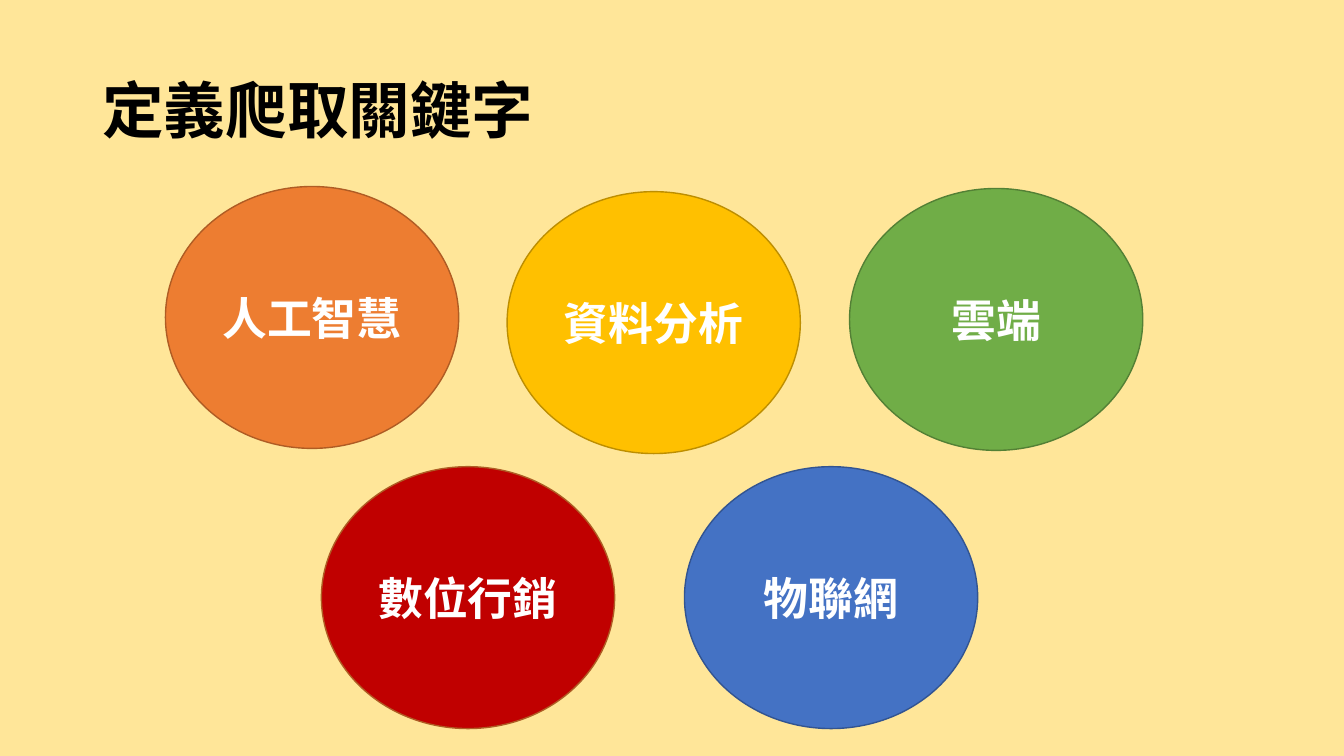
from dataclasses import dataclass

from lxml import etree
from pptx import Presentation
from pptx.dml.color import RGBColor
from pptx.enum.shapes import MSO_SHAPE
from pptx.enum.text import MSO_ANCHOR, PP_ALIGN
from pptx.oxml.ns import qn
from pptx.shapes.autoshape import Shape
from pptx.slide import Slide
from pptx.util import Cm, Pt

OVAL = MSO_SHAPE.OVAL
MIDDLE = MSO_ANCHOR.MIDDLE
LEFT = PP_ALIGN.LEFT
CENTER = PP_ALIGN.CENTER

FONT = "Noto Sans CJK SC"
CREAM = RGBColor(0xFF, 0xE6, 0x99)
BLACK = RGBColor(0x00, 0x00, 0x00)
WHITE = RGBColor(0xFF, 0xFF, 0xFF)
ORANGE = RGBColor(0xED, 0x7D, 0x31)
RUST = RGBColor(0xAF, 0x5C, 0x24)
GOLD = RGBColor(0xFF, 0xC0, 0x00)
OCHRE = RGBColor(0xBD, 0x8E, 0x00)
GREEN = RGBColor(0x70, 0xAD, 0x47)
MOSS = RGBColor(0x53, 0x80, 0x35)
BLUE = RGBColor(0x44, 0x72, 0xC4)
NAVY = RGBColor(0x32, 0x54, 0x91)
RED = RGBColor(0xC0, 0x00, 0x00)

WIDTH, HEIGHT = Cm(7.39), Cm(6.6)


@dataclass(frozen=True)
class Topic:
    text: str
    left: float
    top: float
    fill: RGBColor
    line: RGBColor


TOPICS = [
    Topic("人工智慧", 4.17, 4.7, ORANGE, RUST),
    Topic("資料分析", 12.78, 4.83, GOLD, OCHRE),
    Topic("雲端", 21.41, 4.75, GREEN, MOSS),
    Topic("物聯網", 17.25, 11.76, BLUE, NAVY),
    Topic("數位行銷", 8.1, 11.76, RED, RUST),
]


def write(shape: Shape, text: str, *, size: float, color: RGBColor,
          align: PP_ALIGN = CENTER, space: float = 1.0) -> None:
    frame = shape.text_frame
    frame.word_wrap = True
    frame.vertical_anchor = MIDDLE
    para = frame.paragraphs[0]
    para.alignment = align
    para.line_spacing = space
    run = para.add_run()
    run.text = text
    font = run.font
    font.size = Pt(size)
    font.bold = True
    font.color.rgb = color
    font.name = FONT
    props = run._r.get_or_add_rPr()
    etree.SubElement(props, qn("a:ea")).set("typeface", FONT)


def draw(slide: Slide, topic: Topic) -> None:
    oval = slide.shapes.add_shape(
        OVAL, Cm(topic.left), Cm(topic.top), WIDTH, HEIGHT)
    oval.shadow.inherit = False
    oval.fill.solid()
    oval.fill.fore_color.rgb = topic.fill
    oval.line.color.rgb = topic.line
    oval.line.width = Pt(1)
    write(oval, topic.text, size=32, color=WHITE)


def main() -> None:
    deck = Presentation()
    deck.slide_width, deck.slide_height = Cm(33.87), Cm(19.05)
    slide = deck.slides.add_slide(deck.slide_layouts[6])
    slide.background.fill.solid()
    slide.background.fill.fore_color.rgb = CREAM
    title = slide.shapes.add_textbox(
        Cm(2.33), Cm(1.01), Cm(29.21), Cm(3.68))
    write(title, "定義爬取關鍵字", size=44, color=BLACK, align=LEFT, space=0.9)
    for topic in TOPICS:
        draw(slide, topic)
    deck.save("out.pptx")


if __name__ == "__main__":
    main()
